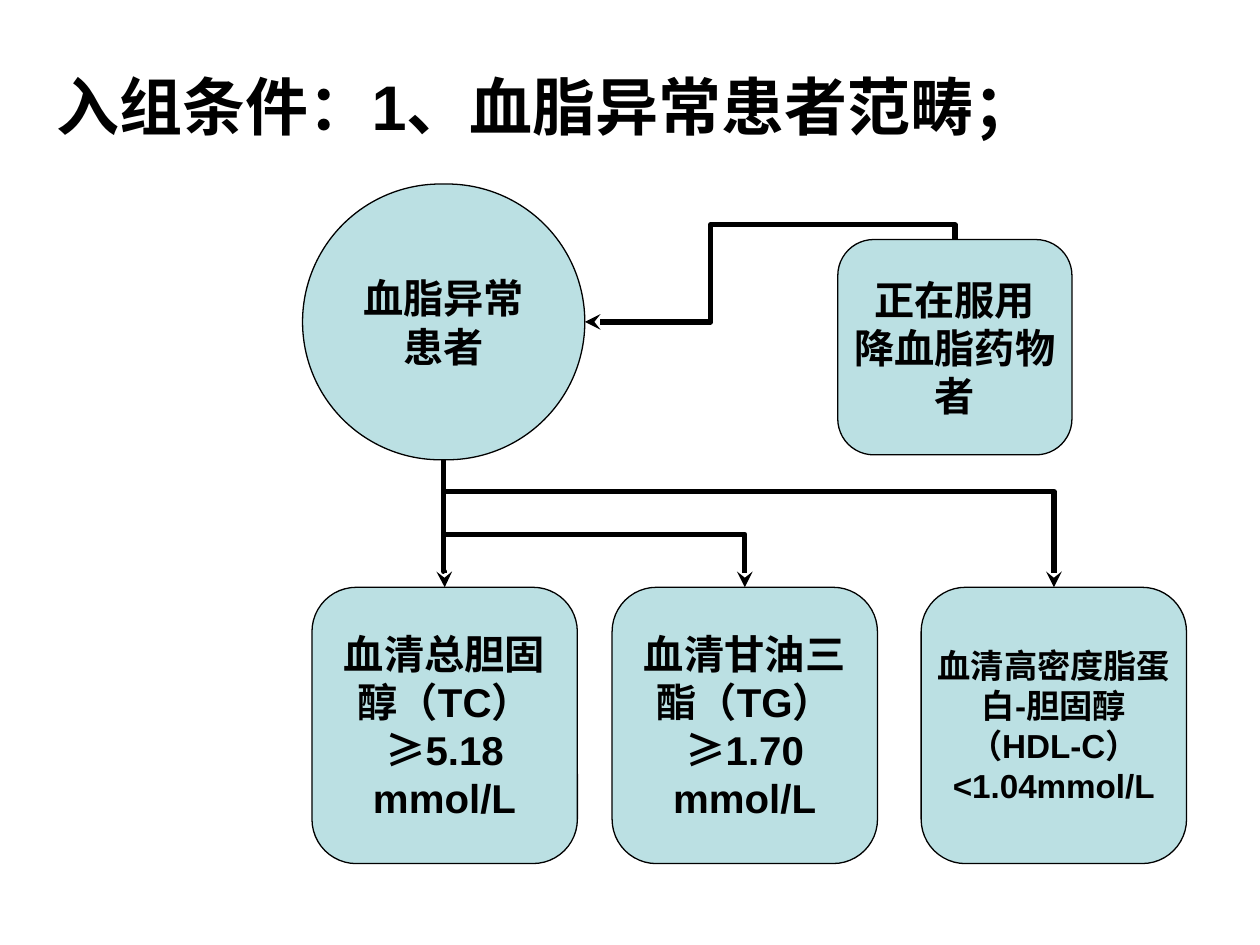
from dataclasses import dataclass

from lxml.etree import SubElement
from pptx import Presentation
from pptx.dml.color import RGBColor
from pptx.enum.shapes import MSO_CONNECTOR as Connector, MSO_SHAPE as Preset
from pptx.enum.text import MSO_ANCHOR as Anchor, MSO_AUTO_SIZE as AutoSize, PP_ALIGN as Align
from pptx.oxml.ns import qn
from pptx.util import Cm, Pt

BLACK = RGBColor(0x00, 0x00, 0x00)
PALE_TEAL = RGBColor(0xBB, 0xE0, 0xE3)
FONT = "Arial"
CARD_TOP, CARD_WIDTH, CARD_HEIGHT = 11.84, 5.35, 5.57


@dataclass(frozen=True)
class Node:
    left: float
    top: float
    width: float
    height: float
    lines: tuple[str, ...]
    size: int = 23
    rounding: float = 0.167

    @property
    def center_x(self) -> float:
        return self.left + self.width / 2

    @property
    def center_y(self) -> float:
        return self.top + self.height / 2

    @property
    def right(self) -> float:
        return self.left + self.width

    @property
    def bottom(self) -> float:
        return self.top + self.height


@dataclass(frozen=True)
class Criterion:
    node: Node
    lane: float


def card(left: float, lines: tuple[str, ...], size: int = 23) -> Node:
    return Node(left, CARD_TOP, CARD_WIDTH, CARD_HEIGHT, lines, size)


PATIENT = Node(6.1, 3.71, 5.69, 5.56, ("血脂异常", "患者"), rounding=0.5)
MEDICATED = Node(16.89, 4.83, 4.72, 4.34, ("正在服用", "降血脂药物者"))
CRITERIA = (
    Criterion(card(18.57, ("血清高密度脂蛋白-胆固醇（HDL-C）<1.04mmol/L",), 19), 9.91),
    Criterion(card(12.34, ("血清甘油三酯（TG）≥1.70", "mmol/L")), 10.77),
    Criterion(card(6.29, ("血清总胆固醇（TC）≥5.18", "mmol/L")), 11.53),
)


def add_run(paragraph, text: str, size: int) -> None:
    run = paragraph.add_run()
    run.text = text
    run.font.name = FONT
    run.font.size = Pt(size)
    run.font.bold = True
    run.font.color.rgb = BLACK


def add_title(slide, text: str) -> None:
    title = slide.shapes.title
    title.left, title.top, title.width, title.height = Cm(0.89), Cm(0.53), Cm(22.86), Cm(3.18)
    frame = title.text_frame
    frame.auto_size = AutoSize.NONE
    frame.vertical_anchor = Anchor.MIDDLE
    paragraph = frame.paragraphs[0]
    paragraph.alignment = Align.LEFT
    add_run(paragraph, text, 36)


def add_node(slide, node: Node) -> None:
    shape = slide.shapes.add_shape(
        Preset.ROUNDED_RECTANGLE, Cm(node.left), Cm(node.top), Cm(node.width), Cm(node.height)
    )
    shape.adjustments[0] = node.rounding
    shape.shadow.inherit = False
    shape.fill.solid()
    shape.fill.fore_color.rgb = PALE_TEAL
    shape.line.color.rgb = BLACK
    shape.line.width = Pt(0.75)
    frame = shape.text_frame
    frame.word_wrap = True
    frame.vertical_anchor = Anchor.MIDDLE
    frame.margin_left = frame.margin_top = frame.margin_right = frame.margin_bottom = 0
    for index, line in enumerate(node.lines):
        paragraph = frame.add_paragraph() if index else frame.paragraphs[0]
        paragraph.alignment = Align.CENTER
        add_run(paragraph, line, node.size)


def add_elbow(slide, start: tuple[float, float], end: tuple[float, float],
              bends: tuple[float, ...], arrow: str) -> None:
    (start_x, start_y), (end_x, end_y) = start, end
    rise, reach = abs(end_y - start_y), abs(end_x - start_x)
    left = (start_x + end_x - rise) / 2
    top = (start_y + end_y - reach) / 2
    upward = end_y < start_y
    first_y, last_y = (top + reach, top) if upward else (top, top + reach)
    connector = slide.shapes.add_connector(
        Connector.ELBOW, Cm(left), Cm(first_y), Cm(left + rise), Cm(last_y)
    )
    connector.line.color.rgb = BLACK
    connector.line.width = Pt(3)
    properties = connector._element.spPr
    properties.find(qn("a:xfrm")).set("rot", str((270 if upward else 90) * 60000))
    geometry = properties.find(qn("a:prstGeom"))
    geometry.set("prst", f"bentConnector{len(bends) + 2}")
    guides = geometry.find(qn("a:avLst"))
    if guides is None:
        guides = SubElement(geometry, qn("a:avLst"))
    for number, bend in enumerate(bends, start=1):
        SubElement(guides, qn("a:gd"), name=f"adj{number}", fmla=f"val {round(bend * 100000)}")
    SubElement(properties.find(qn("a:ln")), qn(f"a:{arrow}"), type="stealth")
    SubElement(properties, qn("a:effectLst"))


def main() -> None:
    presentation = Presentation()
    presentation.slide_width, presentation.slide_height = Cm(25.4), Cm(19.05)
    slide = presentation.slides.add_slide(presentation.slide_layouts[5])
    add_title(slide, "入组条件：1、血脂异常患者范畴；")

    for criterion in CRITERIA:
        node = criterion.node
        bend = (node.top - criterion.lane) / (node.top - PATIENT.bottom)
        add_elbow(slide, (node.center_x, node.top), (PATIENT.center_x, PATIENT.bottom),
                  (bend,), "headEnd")

    add_node(slide, PATIENT)
    for criterion in reversed(CRITERIA):
        add_node(slide, criterion.node)
    add_node(slide, MEDICATED)
    add_elbow(slide, (MEDICATED.center_x, MEDICATED.top), (PATIENT.right, PATIENT.center_y),
              (-0.18, 0.66), "tailEnd")

    presentation.save("out.pptx")


if __name__ == "__main__":
    main()
